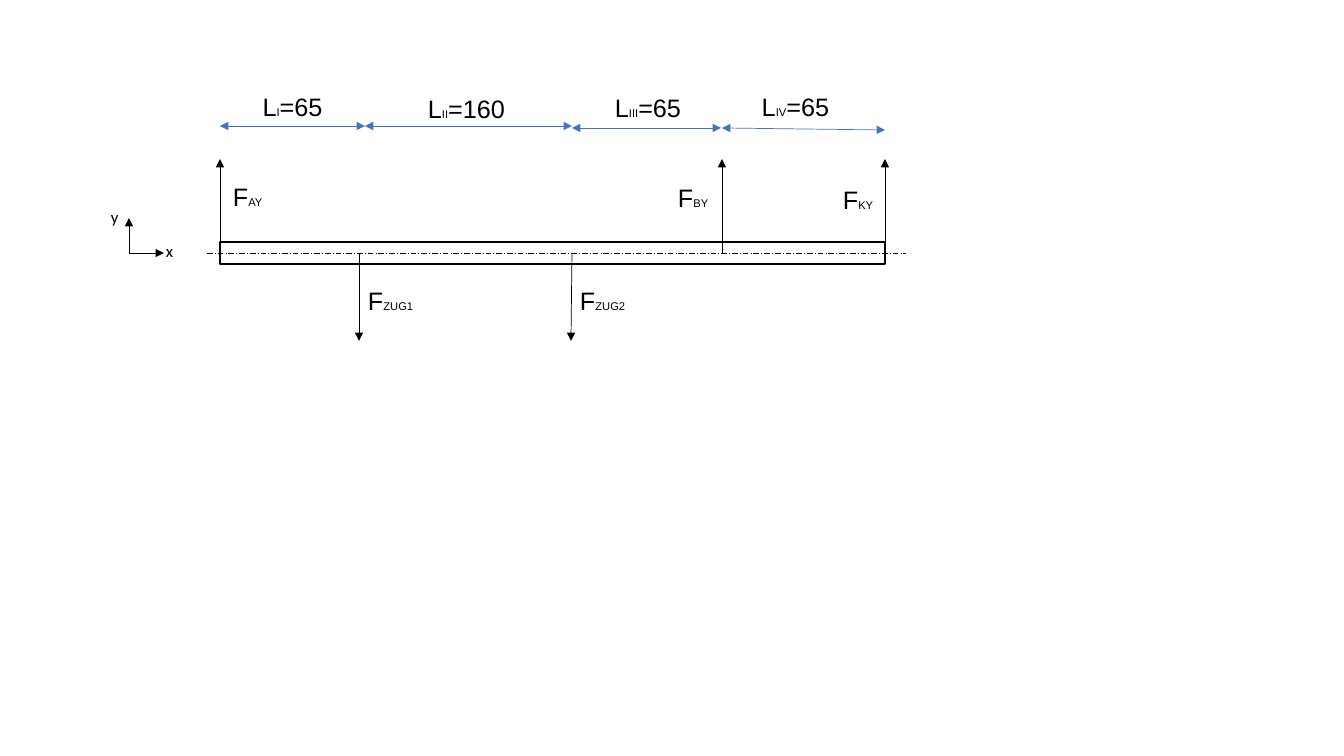
"""Builds a slide with the free-body diagram of a shaft."""
import pptx
import pptx.util
import pptx.dml.color
import pptx.enum.dml
import pptx.enum.shapes
import pptx.enum.text
from lxml import etree

COLORS = {"ink": "000000", "dimension": "4472C4"}
SCALE = 914400 / 100.8
AXIS_Y = 253
BEAM = (220, 242, 665, 22)
FORCES_UP = [(220, 1), (722, None), (885, 3)]
FORCES_DOWN = [(359, 359), (572, 571)]
FORCE_TOP, FORCE_BOTTOM = 159, 341
DIMENSIONS = [
    (220, 126, 365, 126),
    (365, 126, 572, 126),
    (572, 128, 721, 128),
    (722, 128, 885, 130),
]
LENGTH_LABELS = [
    ("I", "=65", 240, 86, 105),
    ("II", "=160", 414, 88, 105),
    ("III", "=65", 588, 87, 120),
    ("IV", "=65", 743, 86, 105),
]
FORCE_LABELS = [
    ("AY", 223, 176, 52),
    ("BY", 668, 177, 52),
    ("KY", 833, 179, 52),
    ("ZUG1", 358, 280, 71),
    ("ZUG2", 570, 280, 71),
]
ORIGIN_X = 129
AXES = [(ORIGIN_X, 218), (164, AXIS_Y)]
AXIS_LABELS = [("y", 101, 202), ("x", 156, 236)]


def px(value):
    return pptx.util.Emu(round(value * SCALE))


def rgb(name):
    return pptx.dml.color.RGBColor.from_string(COLORS[name])


def add_line(shapes, ends, color="ink", heads=()):
    line = shapes.add_connector(
        pptx.enum.shapes.MSO_CONNECTOR.STRAIGHT, *[px(v) for v in ends])
    line.line.color.rgb = rgb(color)
    line.line.width = pptx.util.Pt(0.5)
    ns = "{http://schemas.openxmlformats.org/drawingml/2006/main}"
    ln = line.line._get_or_add_ln()
    for head in heads:
        etree.SubElement(ln, ns + head, type="triangle")
    etree.SubElement(line._element.spPr, ns + "effectLst")
    return line


def add_label(shapes, box, runs, font="Arial", centered=False):
    tf = shapes.add_textbox(*[px(v) for v in box]).text_frame
    tf.word_wrap = True
    tf.auto_size = pptx.enum.text.MSO_AUTO_SIZE.SHAPE_TO_FIT_TEXT
    p = tf.paragraphs[0]
    align = pptx.enum.text.PP_ALIGN
    p.alignment = align.CENTER if centered else align.LEFT
    for text, size in runs:
        r = p.add_run()
        r.text = text
        r.font.size = pptx.util.Pt(size)
        r.font.name = font
        r.font.color.rgb = rgb("ink")


def main():
    prs = pptx.Presentation()
    prs.slide_width, prs.slide_height = px(1344), px(756)
    s = prs.slides.add_slide(prs.slide_layouts[6])

    beam = s.shapes.add_shape(
        pptx.enum.shapes.MSO_SHAPE.RECTANGLE, *[px(v) for v in BEAM])
    beam.shadow.inherit = False
    beam.fill.background()
    beam.line.color.rgb = rgb("ink")
    beam.line.width = pptx.util.Pt(1)

    for x, side in FORCES_UP:
        arrow = add_line(s.shapes, (x, AXIS_Y, x, FORCE_TOP), heads=["tailEnd"])
        if side is not None:
            arrow.begin_connect(beam, side)
    for ends in DIMENSIONS:
        add_line(s.shapes, ends, "dimension", ["headEnd", "tailEnd"])

    axes = s.shapes.add_group_shape().shapes
    for x, y in AXES:
        add_line(axes, (ORIGIN_X, AXIS_Y, x, y), heads=["tailEnd"])
    for text, x, y in AXIS_LABELS:
        add_label(axes, (x, y, 28, 30), [(text, 12)], "Calibri")

    for index, value, x, y, w in LENGTH_LABELS:
        add_label(s.shapes, (x, y, w, 40),
                  [("L", 18), (index, 8), (value, 18)], centered=True)
    for index, x, y, w in FORCE_LABELS:
        add_label(s.shapes, (x, y, w, 40), [("F", 18), (index, 8)])
    for x, tip_x in FORCES_DOWN:
        add_line(s.shapes, (x, AXIS_Y, tip_x, FORCE_BOTTOM), heads=["tailEnd"])

    center = add_line(s.shapes, (207, AXIS_Y, 906, AXIS_Y))
    center.line.dash_style = pptx.enum.dml.MSO_LINE.LONG_DASH_DOT

    prs.save("out.pptx")


if __name__ == "__main__":
    main()
